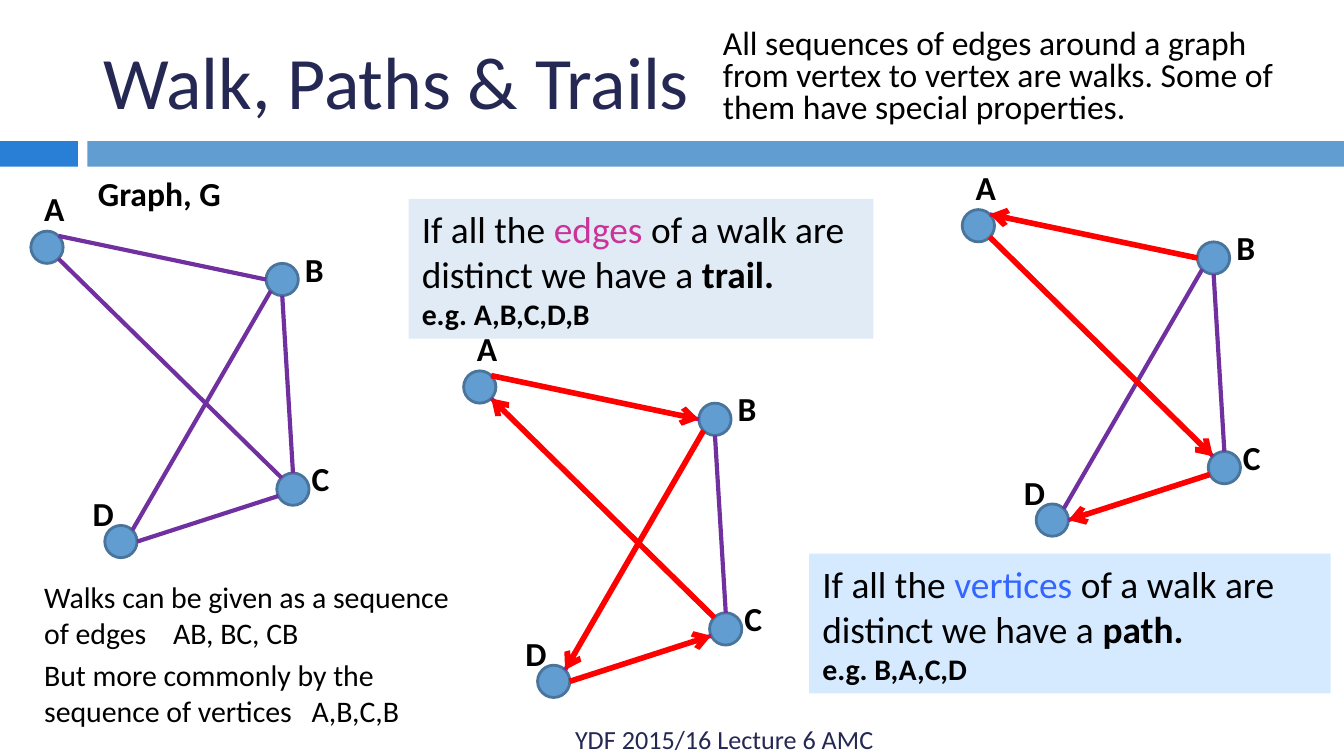
import math
from dataclasses import dataclass

from lxml import etree
from pptx import Presentation
from pptx import util as u
from pptx.dml.color import RGBColor
from pptx.enum import shapes, text
from pptx.oxml.ns import qn


@dataclass(frozen=True)
class Theme:
    font: str = "Calibri"
    ink: str = "000000"
    heading: str = "242852"
    accent: str = "297FD5"
    node: str = "629DD1"
    node_rim: str = "49749B"
    edge: str = "7030A0"
    step: str = "FF0000"
    trail_panel: str = "E0EBF6"
    trail_word: str = "CC3399"
    path_panel: str = "D5EAFF"
    path_word: str = "3366FF"
    title_pt: float = 39.6
    rule_pt: float = 20
    label_pt: float = 18
    note_pt: float = 16
    footer_pt: float = 14


THEME = Theme()

# A 16:9 slide on a grid of 100 columns; a row is as high as a column is wide
WIDTH = u.Inches(10)
HEIGHT = WIDTH * 9 // 16

# Graph layout, in grid units from the top left corner of its box
RADIUS = 1.2
VERTICES = {"A": (1.2, 4.9), "B": (18.7, 7.3), "C": (19.5, 22.9), "D": (6.7, 26.8)}
LABELS = {"A": (0, 0), "B": (19.4, 4.5), "C": (19.9, 20.1), "D": (3.6, 22.7)}
# Each edge leaves and meets its vertices at these clockwise angles
EDGES = {"AC": (45, 225), "BD": (135, 315), "BC": (90, 270),
         "AB": (315, 180), "CD": (155, 0)}


def grid(*cells):
    return [round(WIDTH * cell / 100) for cell in cells]


def colour(code):
    return RGBColor.from_string(code)


def add_run(paragraph, words, size, ink=THEME.ink, bold=False):
    run = paragraph.add_run()
    run.text = words
    run.font.name = THEME.font
    run.font.size = u.Pt(size)
    run.font.color.rgb = colour(ink)
    run.font.bold = bold


def add_words(parent, box, paragraphs, anchor=text.MSO_ANCHOR.TOP, panel=None):
    """Place paragraphs, each a list of runs, in a box; return the paragraphs."""
    holder = parent.add_textbox(*grid(*box))
    if panel:
        holder.fill.solid()
        holder.fill.fore_color.rgb = colour(panel)
    frame = holder.text_frame
    frame.word_wrap = True
    frame.vertical_anchor = anchor
    for index, runs in enumerate(paragraphs):
        paragraph = frame.paragraphs[0] if index == 0 else frame.add_paragraph()
        for run in runs:
            add_run(paragraph, *run)
    return frame.paragraphs


def add_bar(parent, box, fill):
    bar = parent.add_shape(shapes.MSO_SHAPE.RECTANGLE, *grid(*box))
    bar.shadow.inherit = False
    bar.fill.solid()
    bar.fill.fore_color.rgb = colour(fill)
    bar.line.fill.background()


def add_line(parent, start, end, ink, width, arrow=False):
    line = parent.add_connector(shapes.MSO_CONNECTOR.STRAIGHT, *grid(*start, *end))
    line.line.color.rgb = colour(ink)
    line.line.width = u.Pt(width)
    if arrow:
        etree.SubElement(line.line._get_or_add_ln(), qn("a:tailEnd"), type="arrow")
    etree.SubElement(line._element.spPr, qn("a:effectLst"))


def add_header(parent, box):
    left, top, width, height = box
    # Title and introduction
    add_words(parent, (left + 6.7, top + 1.9, 89.2, 8.1),
              [[("Walk, Paths & Trails", THEME.title_pt, THEME.heading)]],
              text.MSO_ANCHOR.MIDDLE)
    intro = add_words(parent, (left + 52.8, top + 1.7, 46.2, 8.3), [[
        ("All sequences of edges around a graph from vertex to vertex are walks. "
         "Some of them have special properties.", THEME.label_pt)]])
    intro[0].line_spacing = 0.8
    # Two-part band
    band = top + height - 1.9
    add_bar(parent, (left, band, 5.8, 1.9), THEME.accent)
    add_bar(parent, (left + 6.5, band, width - 6.5, 1.9), THEME.node)


def add_graph(parent, corner, walk="", caption=""):
    """Draw the graph from its corner, then the steps of a walk as arrows."""
    left, top = corner

    def rim(vertex, angle):
        x, y = VERTICES[vertex]
        turn = math.radians(angle)
        return (left + x + RADIUS * math.cos(turn), top + y + RADIUS * math.sin(turn))

    def edge_ends(edge):
        return [rim(vertex, angle) for vertex, angle in zip(edge, EDGES[edge])]

    graph = parent.add_group_shape().shapes
    # Vertices and their letters
    for vertex, (x, y) in VERTICES.items():
        node = graph.add_shape(shapes.MSO_SHAPE.OVAL, *grid(
            left + x - RADIUS, top + y - RADIUS, 2 * RADIUS, 2 * RADIUS))
        node.shadow.inherit = False
        node.fill.solid()
        node.fill.fore_color.rgb = colour(THEME.node)
        node.line.color.rgb = colour(THEME.node_rim)
        node.line.width = u.Pt(1.5)
        dx, dy = LABELS[vertex]
        add_words(graph, (left + dx, top + dy, 3.9, 4),
                  [[(vertex, THEME.label_pt, THEME.ink, True)]])
    # Edges
    for edge in EDGES:
        add_line(graph, *edge_ends(edge), THEME.edge, 2.25)
    if caption:
        add_words(graph, (left + 4, top - 1.1, 13.5, 4),
                  [[(caption, THEME.label_pt, THEME.ink, True)]])
    # Steps of the walk
    for step in zip(walk, walk[1:]):
        edge = "".join(sorted(step))
        ends = edge_ends(edge)
        if edge[0] != step[0]:
            ends.reverse()
        add_line(parent, *ends, THEME.step, 3, arrow=True)


def add_rule(parent, box, panel, parts, parts_ink, name, example):
    add_words(parent, box, [
        [("If all the ", THEME.rule_pt), (parts, THEME.rule_pt, parts_ink),
         (" of a walk are distinct we have a ", THEME.rule_pt),
         (name, THEME.rule_pt, THEME.ink, True)],
        [(example, THEME.note_pt, THEME.ink, True)],
    ], text.MSO_ANCHOR.MIDDLE, panel)


def add_notation(parent, box):
    notes = [("Walks can be given as a sequence of edges\tAB, BC, CB", 9.6),
             ("But more commonly by the sequence of vertices\tA,B,C,B", 19.9)]
    paragraphs = add_words(parent, box, [[(note, THEME.note_pt)] for note, _ in notes])
    for paragraph, (_, stop) in zip(paragraphs, notes):
        tabs = etree.SubElement(paragraph._p.get_or_add_pPr(), qn("a:tabLst"))
        etree.SubElement(tabs, qn("a:tab"), pos=str(grid(stop)[0]), algn="l")
    paragraphs[1].space_before = u.Pt(3)


def add_footer(parent, box):
    footer = add_words(parent, box, [
        [("YDF 2015/16 Lecture 6 AMC", THEME.footer_pt, THEME.heading)]],
        text.MSO_ANCHOR.MIDDLE)
    footer[0].alignment = text.PP_ALIGN.RIGHT


def main():
    deck = Presentation()
    deck.slide_width, deck.slide_height = WIDTH, HEIGHT
    canvas = deck.slides.add_slide(deck.slide_layouts[6]).shapes

    add_header(canvas, (0, 0, 100, 12.4))
    add_footer(canvas, (6.7, 53.5, 59.3, 3))
    add_graph(canvas, (2.3, 13.5), caption="Graph, G")
    add_graph(canvas, (34.5, 23.9), walk="ABDCA")
    add_graph(canvas, (71.6, 11.9), walk="BACD")
    add_notation(canvas, (2.3, 42.6, 33.1, 12.2))
    add_rule(canvas, (60.2, 41.2, 38.8, 10.4), THEME.path_panel,
             "vertices", THEME.path_word, "path.", "e.g. B,A,C,D")
    add_rule(canvas, (30.4, 14.8, 34.6, 10.4), THEME.trail_panel,
             "edges", THEME.trail_word, "trail.", "e.g. A,B,C,D,B")
    deck.save("out.pptx")


if __name__ == "__main__":
    main()
